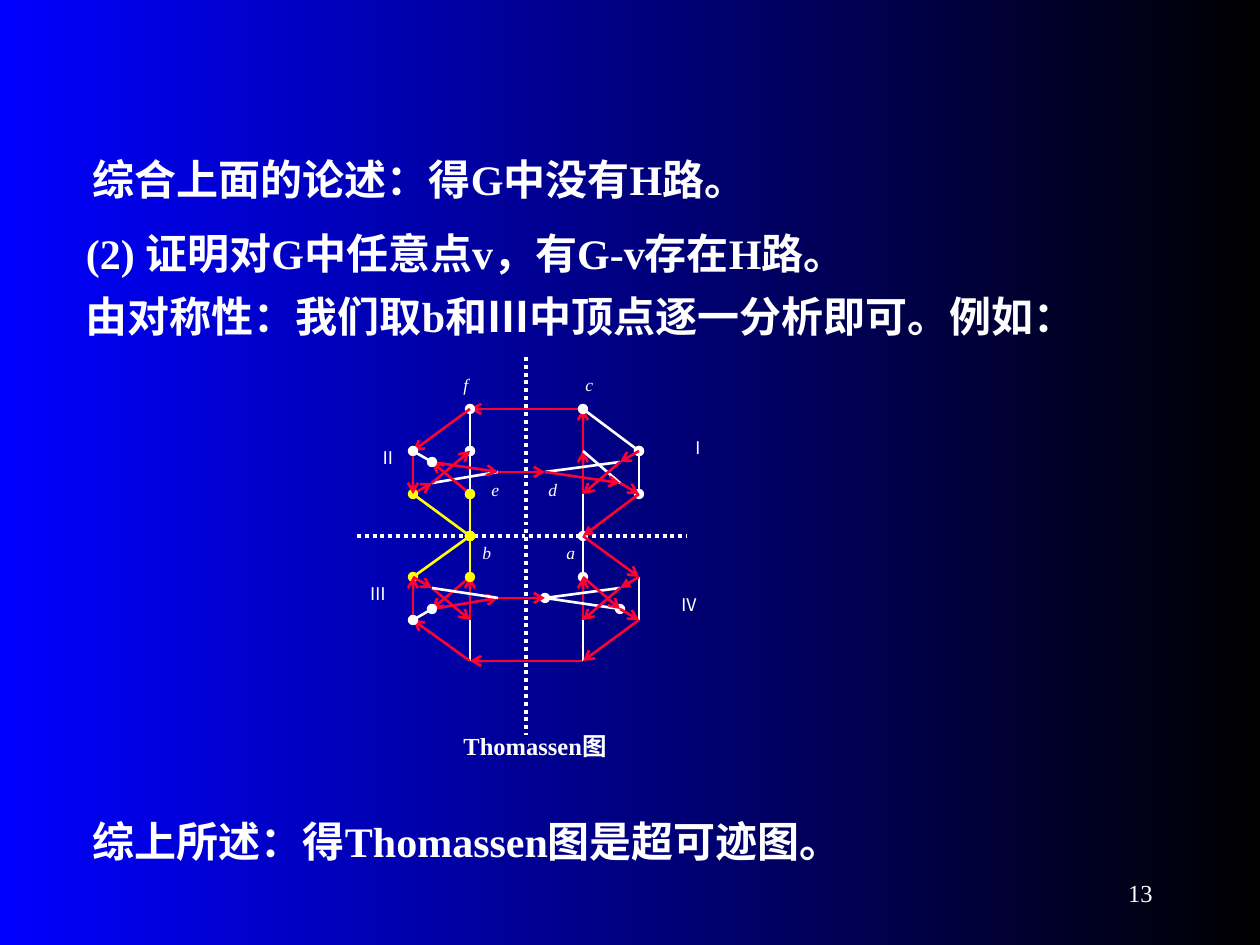
from typing import NamedTuple

from pptx import Presentation
from pptx import util as u
from pptx.dml.color import RGBColor
from pptx.enum import dml, shapes, text
from pptx.oxml.ns import qn

SCALE = u.Inches(1) / 126  # EMU in one px
WHITE = RGBColor(0xFF, 0xFF, 0xFF)
RED = RGBColor(0xFF, 0x00, 0x33)
YELLOW = RGBColor(0xFF, 0xFF, 0x00)
BLUE = RGBColor(0x00, 0x00, 0xFF)
BLACK = RGBColor(0x00, 0x00, 0x00)
SERIF = "Times New Roman"
CJK = "Noto Sans CJK SC"


class Box(NamedTuple):
    left: int
    top: int
    width: int
    height: int


class Label(NamedTuple):
    words: str
    box: Box
    font: str = SERIF
    size: int = 10
    bold: bool = False
    italic: bool = False


class Statement(NamedTuple):
    phrases: tuple  # (words, Latin font) pairs
    box: Box
    inset: int = 13


class EdgeStyle(NamedTuple):
    color: RGBColor
    head: str = ""
    tail: str = ""


# Graph vertices: column letter plus row letter
COLUMNS = dict(zip("ABCDEFGH", (413, 432, 470, 498, 545, 583, 620, 639)))
ROWS = dict(zip("abcdefghijklm", (409, 451, 462, 472, 483, 494, 536,
                                  577, 588, 598, 609, 620, 661)))
STYLES = {
    ">": EdgeStyle(RED, tail="arrow"),
    "»": EdgeStyle(RED, tail="triangle"),
    "-": EdgeStyle(WHITE),
    "o": EdgeStyle(WHITE, "oval", "oval"),
    "y": EdgeStyle(YELLOW, "oval", "oval"),
}
# Start vertex, style key, end vertex; back to front
EDGES = """
    Ch>Bk Cl>Ch FgoFh Fl>Fh Fm>Cm Ff>Fb CboCf Af>Be AfyCg Fl-Fm Bi>Cl
    Gi-Ej EjoGk Be-Dd Bc>Dd Ff-Fg Cf>Bc Gc-Ed Fa>Ca CaoCb Fb>Fa CfyCg
    Ca>Ab Ab>Af Dd>Ed FaoHb HboHf Hf»Fg AboBc Be>Cb Hb>Gc Ge>Hf Fb-Ge
    Gc>Ff Ed>Ge Bk>Dj CgyCh Cl-Cm CgyAh Al>Ah Cm>Al Dj>Ej Fg>Hh Hh-Hl
    Hl>Fm Ah>Bi Bi-Dj AloBk Hh»Gi Gk>Hl Fh>Gk Gi>Fl
""".split()
AXES = (((526, 357), (526, 735)), ((357, 536), (687, 536)))

VERTEX_LABELS = [
    Label(name, Box(left, top, 38, 37), italic=True)
    for name, left, top in (("a", 554, 536), ("b", 470, 536), ("d", 536, 473),
                            ("e", 479, 473), ("f", 451, 368), ("c", 573, 368))
]
QUADRANT_LABELS = [
    Label(name, Box(left, top, width, 37), CJK)
    for name, left, top, width in (("Ⅰ", 677, 431, 38), ("Ⅱ", 367, 441, 44),
                                   ("Ⅲ", 357, 577, 38), ("Ⅳ", 668, 588, 50))
]
CAPTION = Label("Thomassen图", Box(451, 725, 198, 37), size=14, bold=True)

OPENING = Statement((("综合上面的论述：得G中没有H路。", SERIF),),
                    Box(53, 147, 1081, 63), 40)
STATEMENTS = (
    Statement((("(2) 证明对G中任意点v，有G-v存在H路。", SERIF),),
              Box(73, 221, 1008, 63)),
    Statement((("由对称性：我们取b和", SERIF),
               ("Ⅲ中顶点逐一分析即可。例如：", CJK)),
              Box(73, 284, 1144, 63)),
    Statement((("综上所述：得Thomassen图是超可迹图。", SERIF),),
              Box(53, 809, 1081, 63), 40),
)


def px(length: float) -> int:
    return round(length * SCALE)


def style_span(span, font: str, size: int, bold=False, italic=False) -> None:
    span.font.size = u.Pt(size)
    span.font.bold = bold
    span.font.italic = italic
    span.font.color.rgb = WHITE
    span.font.name = font
    properties = span._r.get_or_add_rPr()
    properties.append(properties.makeelement(qn("a:ea"), {"typeface": CJK}))


def add_label(parent, label: Label, align=text.PP_ALIGN.JUSTIFY):
    shape = parent.add_textbox(*map(px, label.box))
    frame = shape.text_frame
    frame.word_wrap = True
    frame.text = label.words
    para = frame.paragraphs[0]
    para.alignment = align
    style_span(para.runs[0], label.font, label.size, label.bold, label.italic)
    return shape


def write_statement(shape, statement: Statement) -> None:
    shape.left, shape.top, shape.width, shape.height = map(px, statement.box)
    frame = shape.text_frame
    frame.word_wrap = True
    frame.auto_size = text.MSO_AUTO_SIZE.SHAPE_TO_FIT_TEXT
    frame.vertical_anchor = text.MSO_ANCHOR.TOP
    frame.margin_left = px(statement.inset)
    para = frame.paragraphs[0]
    para.alignment = text.PP_ALIGN.LEFT
    para.space_before = u.Pt(15)
    para.line_spacing = 1.0
    for words, font in statement.phrases:
        span = para.add_run()
        span.text = words
        style_span(span, font, 24, bold=True)


def add_line(parent, start: tuple, end: tuple, style: EdgeStyle, weight=1.5):
    line = parent.add_connector(shapes.MSO_CONNECTOR.STRAIGHT,
                                *map(px, (*start, *end)))
    line.line.color.rgb = style.color
    line.line.width = u.Pt(weight)
    properties = line._element.spPr
    outline = properties.find(qn("a:ln"))
    for tag, kind in (("a:headEnd", style.head), ("a:tailEnd", style.tail)):
        if kind:
            outline.append(outline.makeelement(qn(tag), {"type": kind}))
    properties.append(properties.makeelement(qn("a:effectLst"), {}))
    return line


def vertex(name: str) -> tuple:
    return COLUMNS[name[0]], ROWS[name[1]]


def main() -> None:
    deck = Presentation()
    deck.slide_width, deck.slide_height = px(1260), px(945)
    page = deck.slides.add_slide(deck.slide_layouts[5])

    # Background
    fill = page.background.fill
    fill.gradient()
    fill.gradient_angle = 0
    for stop, position, color in zip(fill.gradient_stops, (0, 1), (BLUE, BLACK)):
        stop.position = position
        stop.color.rgb = color

    # Statements
    write_statement(page.shapes.title, OPENING)
    for statement in STATEMENTS:
        box = page.shapes.add_textbox(*map(px, statement.box))
        write_statement(box, statement)

    # Thomassen graph
    graph = page.shapes.add_group_shape().shapes
    for label in (*VERTEX_LABELS, CAPTION, *QUADRANT_LABELS):
        add_label(graph, label)
    for start, end in AXES:
        axis = add_line(graph, start, end, STYLES["-"], 2.25)
        axis.line.dash_style = dml.MSO_LINE.ROUND_DOT
    for edge in EDGES:
        add_line(graph, vertex(edge[:2]), vertex(edge[3:]), STYLES[edge[2]])

    # Page number
    number = add_label(page.shapes, Label("13", Box(903, 861, 262, 63), size=14),
                       text.PP_ALIGN.RIGHT)
    number.text_frame.vertical_anchor = text.MSO_ANCHOR.MIDDLE

    deck.save("out.pptx")


if __name__ == "__main__":
    main()
